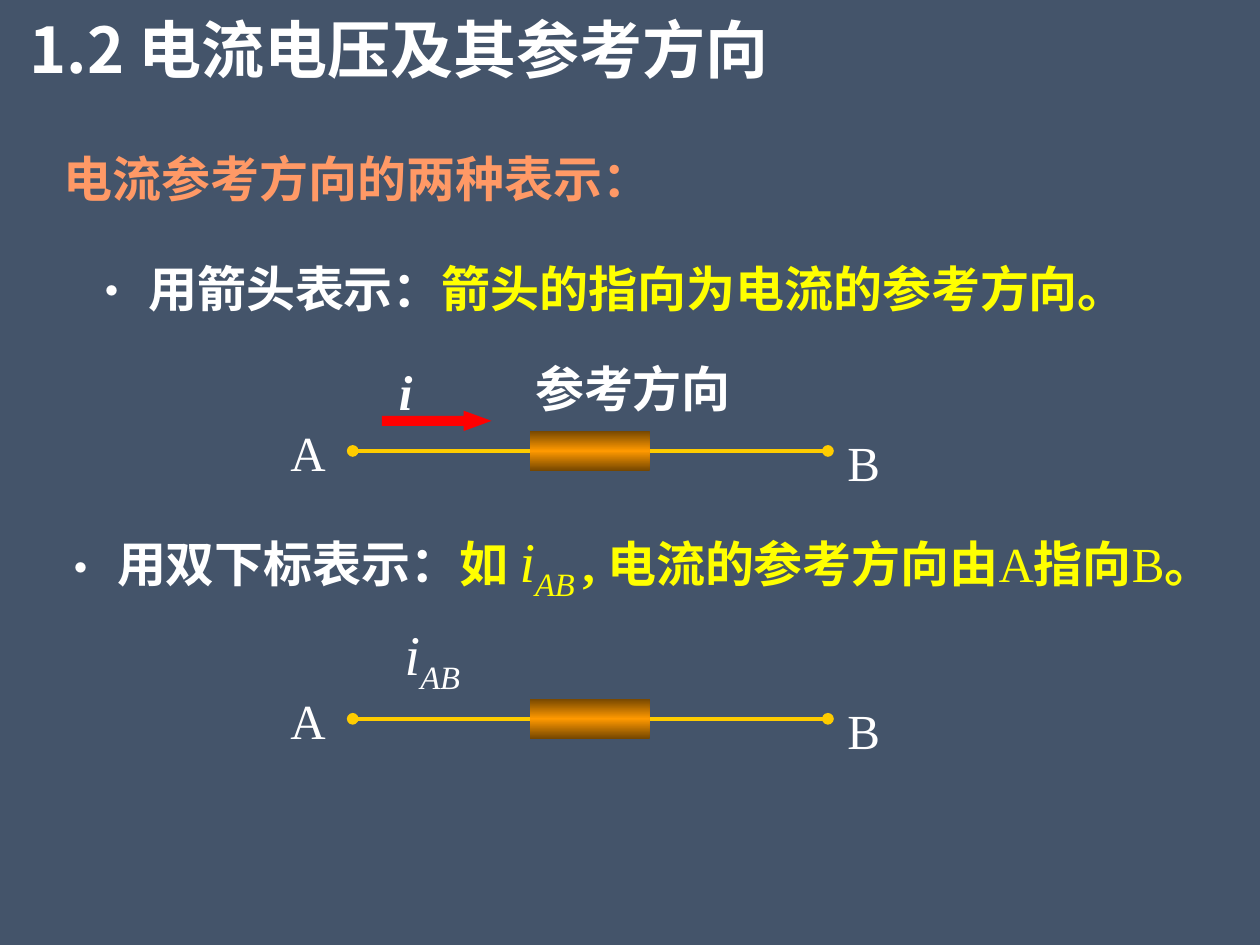
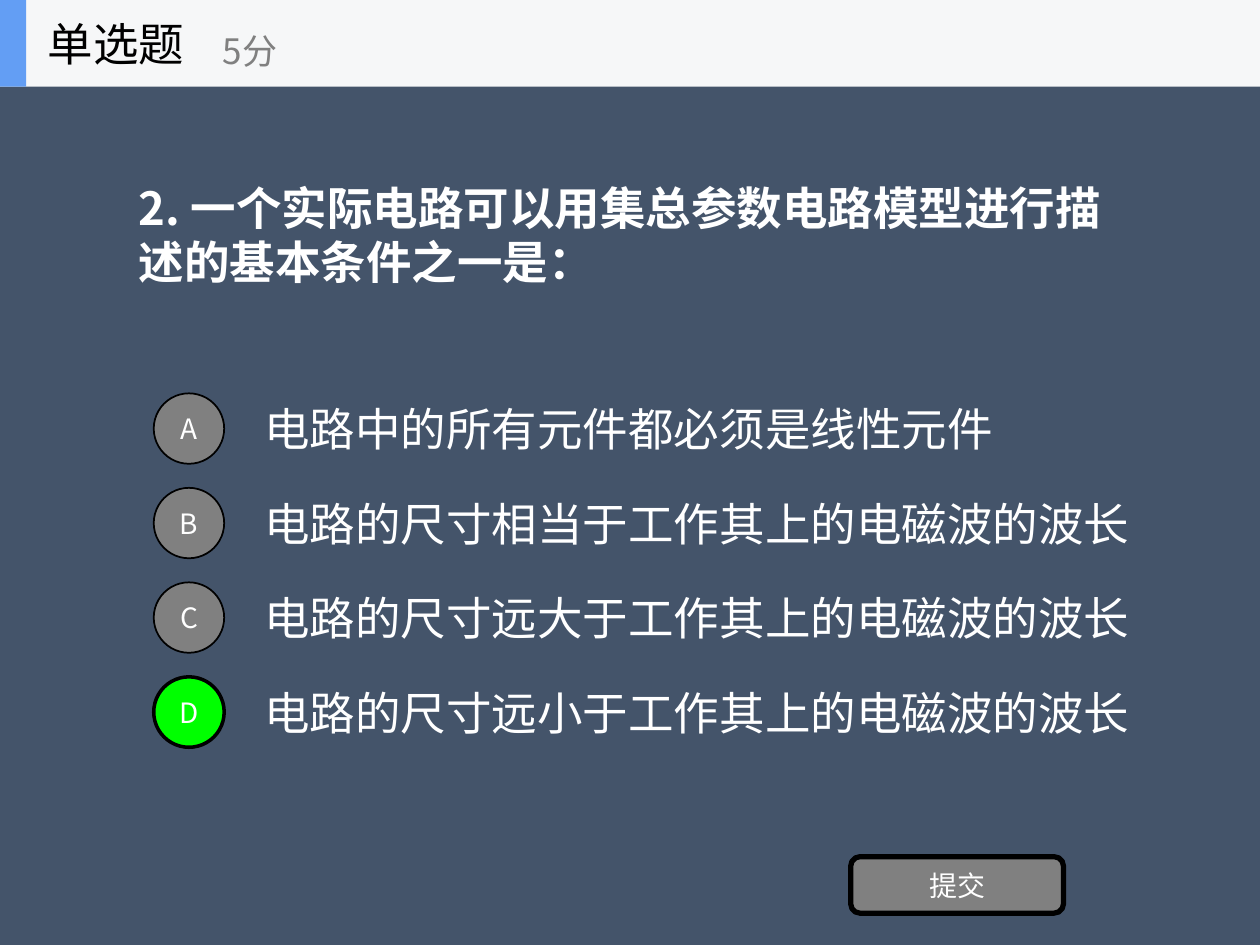
import copy
import pptx
import pptx.util
import pptx.dml.color
import pptx.enum.shapes
import pptx.enum.text
import pptx.oxml
import pptx.oxml.ns

Cm, Pt = pptx.util.Cm, pptx.util.Pt
SHAPE = pptx.enum.shapes.MSO_SHAPE
ALIGN = pptx.enum.text.PP_ALIGN
ANCHOR = pptx.enum.text.MSO_ANCHOR
qn = pptx.oxml.ns.qn

# Shared look
SANS, SERIF = "Noto Sans CJK SC", "Times New Roman"
BACK, WHITE, BLACK, GREY = "44546A", "FFFFFF", "000000", "808080"
YELLOW, CORAL, RED, GOLD = "FFFF00", "FF9966", "FF0000", "FFCC00"
BROWN, ORANGE, GREEN = "764700", "FF9900", "00FF00"
PALE, BLUE = "F6F7F8", "639EF4"


def rgb(code):
    return pptx.dml.color.RGBColor.from_string(code)


def add_tag(parent, tag, **attrs):
    child = parent.makeelement(qn(tag), attrs)
    parent.append(child)
    return child


def style(font, size, color=WHITE, face=SANS, bold=False, italic=False):
    font.size, font.bold, font.italic = Pt(size), bold, italic
    font.color.rgb = rgb(color)
    font.name = face
    add_tag(font._element, "a:ea", typeface=face)


def place(shape, box):
    shape.left, shape.top, shape.width, shape.height = map(Cm, box)


# Text: a plain string takes one look; a list holds (text, look, baseline)
def write(shape, text, align=ALIGN.LEFT, bullet=False, wrap=True, **look):
    frame = shape.text_frame
    frame.word_wrap = wrap
    frame.auto_size = pptx.enum.text.MSO_AUTO_SIZE.NONE
    frame.vertical_anchor = ANCHOR.MIDDLE
    para = frame.paragraphs[0]
    para.alignment = align
    if bullet:
        props = para._p.get_or_add_pPr()
        props.set("marL", str(Cm(1.22)))
        props.set("indent", str(Cm(-1.22)))
        add_tag(props, "a:buFont", typeface=SANS)
        add_tag(props, "a:buChar", char="•")
    if isinstance(text, str):
        para.add_run().text = text
        style(para.font, **look)
        return
    for words, run_look, base in text:
        run = para.add_run()
        run.text = words
        style(run.font, **run_look)
        if base:
            run._r.get_or_add_rPr().set("baseline", str(base * 1000))


def label(slide, box, text, **look):
    shape = slide.shapes.add_textbox(*map(Cm, box))
    write(shape, text, **look)


def title(slide, box, text, **look):
    place(slide.shapes.title, box)
    write(slide.shapes.title, text, bold=True, **look)


def block(slide, kind, box, fill=None, edge=None, width=1):
    shape = slide.shapes.add_shape(kind, *map(Cm, box))
    shape.shadow.inherit = False
    if fill:
        shape.fill.solid()
        shape.fill.fore_color.rgb = rgb(fill)
    if edge:
        shape.line.color.rgb = rgb(edge)
        shape.line.width = Pt(width)
    else:
        shape.line.fill.background()
    return shape


# Wire with a resistor between terminals A and B
def circuit(slide, left, top):
    for name, dx, dy in (("A", 0, 0.1), ("B", 11.2, 0.3)):
        label(slide, (left + dx, top + dy, 1.8, 1.45), name,
              align=ALIGN.CENTER, size=28, face=SERIF)
    y = top + 0.81
    wire = slide.shapes.add_connector(
        pptx.enum.shapes.MSO_CONNECTOR.STRAIGHT,
        Cm(left + 1.8), Cm(y), Cm(left + 11.38), Cm(y))
    wire.line.color.rgb = rgb(GOLD)
    wire.line.width = Pt(2.25)
    for end in ("a:headEnd", "a:tailEnd"):
        add_tag(wire.line._get_or_add_ln(), end, type="oval")
    add_tag(wire._element.spPr, "a:effectLst")

    load = block(slide, SHAPE.RECTANGLE, (left + 5.38, y - 0.4, 2.41, 0.8))
    load.fill.gradient()
    load.fill.gradient_angle = 90
    stops = load._element.spPr.find(".//" + qn("a:gsLst"))
    stops.append(copy.deepcopy(stops[0]))
    shades = ((0, BROWN), (0.5, ORANGE), (1, BROWN))
    for stop, (spot, color) in zip(load.fill.gradient_stops, shades):
        stop.position = spot
        stop.color.rgb = rgb(color)


def current_slide(slide):
    title(slide, (0, 0.08, 16.1, 1.8), "1.2 电流电压及其参考方向",
          align=ALIGN.CENTER, size=36)
    label(slide, (1.04, 2.87, 14, 1.45), "电流参考方向的两种表示：",
          size=28, color=CORAL, bold=True)

    # Two ways to show the direction
    lead = dict(size=28, bold=True)
    note = dict(lead, color=YELLOW)
    node = dict(size=28, color=YELLOW, face=SERIF)
    sign = dict(size=32, face=SERIF, italic=True)
    mark = dict(sign, color=YELLOW)
    label(slide, (1.52, 5.08, 22.5, 1.45),
          [("用箭头表示：", lead, 0), ("箭头的指向为电流的参考方向。", note, 0)],
          bullet=True)
    label(slide, (0.89, 9.87, 24.51, 3.05),
          [("用双下标表示：", lead, 0), ("如 ", note, 0), ("i", mark, 0),
           ("AB ", mark, -25), (", ", dict(node, bold=True), 0),
           ("电流的参考方向由", note, 0), ("A", node, 0),
           ("指向", note, 0), ("B", node, 0), ("。", note, 0)],
          bullet=True)

    # Circuit with an arrow
    label(slide, (7.43, 7.15, 1.5, 1.45), "i", align=ALIGN.CENTER,
          size=28, face=SERIF, bold=True, italic=True)
    label(slide, (10.26, 7.09, 5, 1.45), "参考方向",
          align=ALIGN.CENTER, **lead)
    arrow = block(slide, SHAPE.RIGHT_ARROW, (7.7, 8.28, 2.21, 0.41), RED)
    arrow.adjustments[0], arrow.adjustments[1] = 0.5, 1.37
    circuit(slide, 5.31, 8.28)

    # Circuit with a double subscript
    label(slide, (7.32, 12.47, 2.79, 1.6),
          [("i", sign, 0), ("AB", sign, -25)], align=ALIGN.CENTER)
    circuit(slide, 5.31, 13.68)


def header(slide, left, top, width, height):
    block(slide, SHAPE.RECTANGLE, (left, top, width, height), PALE)
    block(slide, SHAPE.RECTANGLE, (left, top, 0.53, height), BLUE)
    label(slide, (left + 0.71, top, 5.28, height), "单选题",
          wrap=False, size=26, color=BLACK)
    label(slide, (left + 4.24, top + 0.3, 6.35, 1.42), "5分",
          wrap=False, size=20, color=GREY)


def choices(slide, left, top, texts, answer):
    for row, (key, text) in enumerate(zip("ABCD", texts)):
        y = top + row * 1.905
        right = key == answer
        label(slide, (left + 1.98, y, 18.6, 1.78), text, size=26)
        disc = block(slide, SHAPE.OVAL, (left, y + 0.18, 1.42, 1.42),
                     GREEN if right else GREY, BLACK, 2 if right else 1)
        write(disc, key, align=ALIGN.CENTER, wrap=False, size=16)


def quiz_slide(slide):
    title(slide, (2.54, 1.75, 20.32, 5.94),
          "2. 一个实际电路可以用集总参数电路模型进行描述的基本条件之一是：",
          size=26)
    choices(slide, 3.1, 7.75, (
        "电路中的所有元件都必须是线性元件",
        "电路的尺寸相当于工作其上的电磁波的波长",
        "电路的尺寸远大于工作其上的电磁波的波长",
        "电路的尺寸远小于工作其上的电磁波的波长"), "D")
    button = block(slide, SHAPE.ROUNDED_RECTANGLE,
                   (17.15, 17.27, 4.29, 1.14), GREY, BLACK, 3)
    write(button, "提交", align=ALIGN.CENTER, size=16)
    header(slide, 0, 0, 25.4, 1.75)


def main():
    deck = pptx.Presentation()
    deck.slide_width, deck.slide_height = Cm(25.4), Cm(19.05)
    fill = deck.slide_master.background.fill
    fill.solid()
    fill.fore_color.rgb = rgb(BACK)
    for build in (current_slide, quiz_slide):
        build(deck.slides.add_slide(deck.slide_layouts[5]))
    deck.save("out.pptx")


if __name__ == "__main__":
    main()
